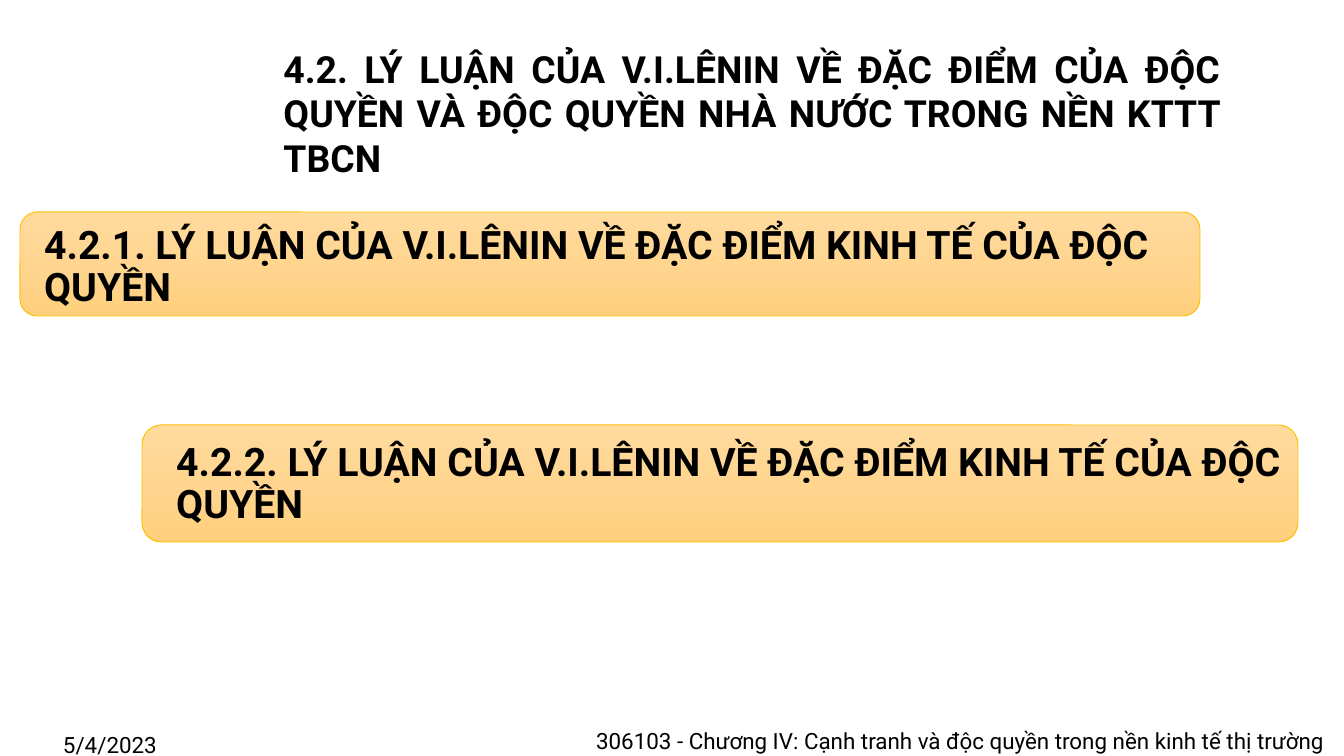
import copy

import pptx
import pptx.dml.color
import pptx.enum.shapes
import pptx.enum.text
import pptx.oxml.ns
import pptx.util

EMU_PER_PX = 914400 / 134.4
ALIGN = pptx.enum.text.PP_ALIGN
ANCHOR = pptx.enum.text.MSO_ANCHOR


def px(length):
    return pptx.util.Emu(round(length * EMU_PER_PX))


def rgb(hex_code):
    return pptx.dml.color.RGBColor.from_string(hex_code)


class SlideBuilder:
    FONT = "Roboto"
    INK = "000000"
    OUTLINE = "FFC000"
    GRADIENT = ("FFDB9E", "FFD590", "FFD07C")

    def __init__(self, slide):
        self.slide = slide

    def set_text(self, frame, text, size, align, anchor=ANCHOR.MIDDLE, bold=False, spacing=0.9):
        frame.word_wrap = True
        frame.auto_size = pptx.enum.text.MSO_AUTO_SIZE.NONE
        frame.vertical_anchor = anchor
        paragraph = frame.paragraphs[0]
        paragraph.text = text
        paragraph.alignment = align
        paragraph.line_spacing = spacing
        paragraph.space_before = pptx.util.Pt(0)
        font = paragraph.font
        font.name = self.FONT
        font.size = pptx.util.Pt(size)
        font.bold = bold
        font.color.rgb = rgb(self.INK)

    def title(self, text, left, top, width, height):
        heading = self.slide.shapes.title
        heading.left, heading.top = px(left), px(top)
        heading.width, heading.height = px(width), px(height)
        self.set_text(heading.text_frame, text, 20, ALIGN.JUSTIFY, ANCHOR.TOP,
                      bold=True, spacing=1.0)

    def text(self, text, box, size, align, bold=False, shapes=None):
        shapes = shapes or self.slide.shapes
        label = shapes.add_textbox(*map(px, box))
        self.set_text(label.text_frame, text, size, align, bold=bold)

    def fill_gradient(self, panel):
        """Fill from top to bottom with three evenly spaced colours."""
        panel.fill.gradient()
        panel.fill.gradient_angle = 270
        stop_list = next(panel.element.iter(pptx.oxml.ns.qn("a:gsLst")))
        stop_list.insert(1, copy.deepcopy(stop_list[0]))
        for index, (stop, shade) in enumerate(zip(panel.fill.gradient_stops, self.GRADIENT)):
            stop.position = index / 2
            stop.color.rgb = rgb(shade)

    def banner(self, text, panel_box, text_box):
        """Group a rounded gradient panel with its section heading."""
        group = self.slide.shapes.add_group_shape()
        panel = group.shapes.add_shape(
            pptx.enum.shapes.MSO_SHAPE.ROUNDED_RECTANGLE, *map(px, panel_box))
        panel.shadow.inherit = False
        panel.line.color.rgb = rgb(self.OUTLINE)
        panel.line.width = pptx.util.Pt(0.5)
        self.fill_gradient(panel)
        self.text(text, text_box, 21, ALIGN.LEFT, bold=True, shapes=group.shapes)


def main():
    deck = pptx.Presentation()
    deck.slide_width, deck.slide_height = px(1344), px(756)
    title_only = deck.slide_layouts[5]
    builder = SlideBuilder(deck.slides.add_slide(title_only))

    builder.text("5/4/2023", (20, 719, 180, 54), 12, ALIGN.CENTER)
    builder.text("306103 - Chương IV: Cạnh tranh và độc quyền trong nền kinh tế thị trường",
                 (493, 715, 845, 54), 12, ALIGN.RIGHT)
    builder.title("4.2. LÝ LUẬN CỦA V.I.LÊNIN VỀ ĐẶC ĐIỂM CỦA ĐỘC QUYỀN "
                  "VÀ ĐỘC QUYỀN NHÀ NƯỚC TRONG NỀN KTTT TBCN", 270, 39, 964, 103)

    sections = [
        ("4.2.1.", (20, 212, 1180, 104), (31, 235, 1161, 66)),
        ("4.2.2.", (142, 425, 1156, 117), (163, 448, 1150, 74)),
    ]
    for number, panel_box, text_box in sections:
        builder.banner(f"{number} LÝ LUẬN CỦA V.I.LÊNIN VỀ ĐẶC ĐIỂM KINH TẾ CỦA ĐỘC QUYỀN",
                       panel_box, text_box)

    deck.save("out.pptx")


if __name__ == "__main__":
    main()
